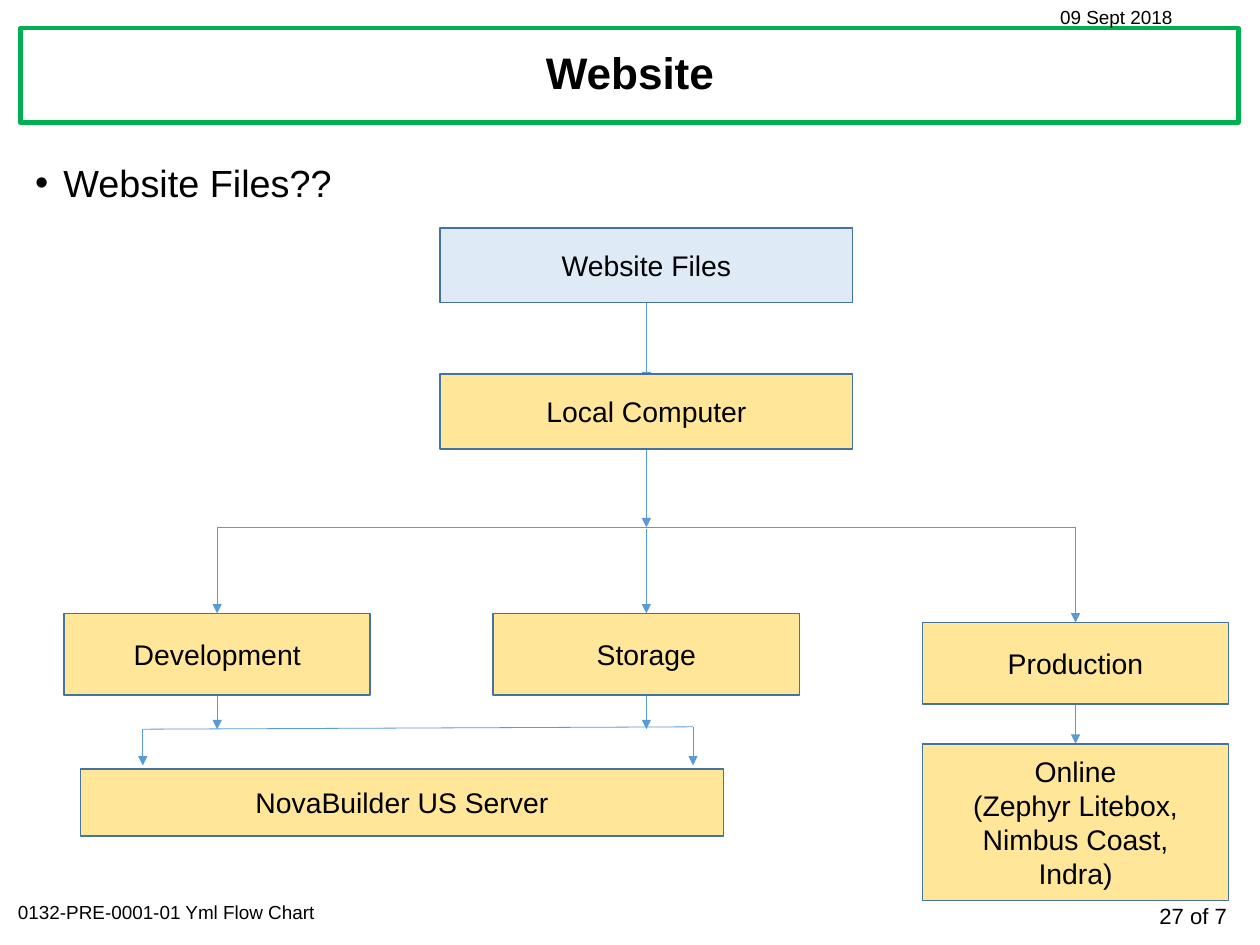
from dataclasses import dataclass

from lxml.etree import SubElement
from pptx import Presentation
from pptx.dml.color import RGBColor
from pptx.enum.shapes import MSO_CONNECTOR as Connector, MSO_SHAPE as Preset
from pptx.enum.text import MSO_ANCHOR as Anchor, MSO_AUTO_SIZE as AutoSize, PP_ALIGN as Align
from pptx.oxml.ns import qn
from pptx.util import Pt

BLACK, WHITE, GREEN = "000000", "FFFFFF", "00B050"
PALE_BLUE, PALE_GOLD, BOX_EDGE, ARROW_BLUE = "DEEBF7", "FFE699", "43739E", "5B9BD5"

# Column centres and heights shared by boxes and arrows
MIDDLE, COLUMN_GAP = 410.4, 272.5
LEFT, RIGHT = MIDDLE - COLUMN_GAP, MIDDLE + COLUMN_GAP
WIDE, NARROW = 262, 194.4
BRANCH_TOP, STAGE_TOP, PRODUCTION_TOP = 334.8, 389.5, 395.3
STAGE_HEIGHT = 51.8
SERVER_LEFT, SERVER_RIGHT = 90.7, 440
MERGE_LEFT, MERGE_RIGHT, SERVER_ARROW_END = 463, 461.5, 486


@dataclass
class Box:
    text: str
    centre: float
    top: float
    width: float
    height: float
    fill: str = PALE_GOLD


@dataclass
class Line:
    x1: float
    y1: float
    x2: float
    y2: float
    arrow: bool = True


@dataclass
class Label:
    text: str
    left: float
    top: float
    width: float
    height: float
    size: float = 12
    align: Align = Align.LEFT


BOXES = [
    Box("Website Files", MIDDLE, 144.7, WIDE, 47.5, PALE_BLUE),
    Box("Local Computer", MIDDLE, 237.6, WIDE, 47.5),
    Box("Development", LEFT, STAGE_TOP, NARROW, STAGE_HEIGHT),
    Box("Storage", MIDDLE, STAGE_TOP, NARROW, STAGE_HEIGHT),
    Box("Production", RIGHT, PRODUCTION_TOP, NARROW, STAGE_HEIGHT),
    Box("NovaBuilder US Server", 255.2, 488.2, 408.2, 42.5),
    Box("Online\n(Zephyr Litebox,\nNimbus Coast,\nIndra)", RIGHT, 472.3, NARROW, 99.4),
]
LINES = [
    Line(MIDDLE, 192.2, MIDDLE, 242),
    Line(MIDDLE, 285.1, MIDDLE, BRANCH_TOP),
    Line(LEFT, BRANCH_TOP, RIGHT, BRANCH_TOP, arrow=False),
    Line(LEFT, BRANCH_TOP, LEFT, STAGE_TOP),
    Line(MIDDLE, BRANCH_TOP + 1.4, MIDDLE, STAGE_TOP),
    Line(RIGHT, BRANCH_TOP, RIGHT, PRODUCTION_TOP),
    Line(LEFT, STAGE_TOP + STAGE_HEIGHT, LEFT, MERGE_LEFT),
    Line(MIDDLE, STAGE_TOP + STAGE_HEIGHT, MIDDLE, MERGE_LEFT),
    Line(SERVER_LEFT, MERGE_LEFT, SERVER_RIGHT, MERGE_RIGHT, arrow=False),
    Line(SERVER_LEFT, MERGE_LEFT, SERVER_LEFT, SERVER_ARROW_END),
    Line(SERVER_RIGHT, MERGE_RIGHT, SERVER_RIGHT, SERVER_ARROW_END),
    Line(RIGHT, PRODUCTION_TOP + STAGE_HEIGHT, RIGHT, 472.3),
]
LABELS = [
    Label("27 of 7", 676.8, 569.5, 109.4, 24.5, 14, Align.RIGHT),
    Label("0132-PRE-0001-01 Yml Flow Chart", 4.3, 568.1, 287.3, 21.6),
    Label("09 Sept 2018", 666, 0, 121, 21.6),
]


def colour(value: str) -> RGBColor:
    return RGBColor.from_string(value)


def apply(target, formats: dict) -> None:
    for name, value in formats.items():
        setattr(target, name, value)


def place(shape, left: float, top: float, width: float, height: float) -> None:
    apply(shape, {"left": Pt(left), "top": Pt(top), "width": Pt(width), "height": Pt(height)})


def write(shape, text: str, size: float, align: Align, anchor: Anchor = Anchor.TOP,
          bold: bool = False, **spacing) -> None:
    frame = shape.text_frame
    frame.text = text
    apply(frame, {"word_wrap": True, "auto_size": AutoSize.NONE, "vertical_anchor": anchor})
    for paragraph in frame.paragraphs:
        apply(paragraph, {"alignment": align, **spacing})
        for run in paragraph.runs:
            apply(run.font, {"name": "Arial", "size": Pt(size), "bold": bold})
            run.font.color.rgb = colour(BLACK)


def add_rectangle(slide, left: float, top: float, width: float, height: float,
                  fill: str, edge: str, weight: float):
    shape = slide.shapes.add_shape(Preset.RECTANGLE, Pt(left), Pt(top), Pt(width), Pt(height))
    shape.shadow.inherit = False
    shape.fill.solid()
    shape.fill.fore_color.rgb = colour(fill)
    shape.line.color.rgb = colour(edge)
    shape.line.width = Pt(weight)
    return shape


def add_box(slide, box: Box) -> None:
    shape = add_rectangle(slide, box.centre - box.width / 2, box.top, box.width, box.height,
                          box.fill, BOX_EDGE, 1)
    write(shape, box.text, 18, Align.CENTER, Anchor.MIDDLE)


def add_line(slide, line: Line) -> None:
    connector = slide.shapes.add_connector(
        Connector.STRAIGHT, Pt(line.x1), Pt(line.y1), Pt(line.x2), Pt(line.y2))
    connector.line.color.rgb = colour(ARROW_BLUE)
    connector.line.width = Pt(0.5)
    if line.arrow:
        SubElement(connector.line._get_or_add_ln(), qn("a:tailEnd"), type="triangle")
    SubElement(connector._element.spPr, qn("a:effectLst"))


def add_label(slide, label: Label) -> None:
    shape = slide.shapes.add_textbox(
        Pt(label.left), Pt(label.top), Pt(label.width), Pt(label.height))
    write(shape, label.text, label.size, label.align)


def main() -> None:
    presentation = Presentation()
    apply(presentation, {"slide_width": Pt(800), "slide_height": Pt(600)})
    slide = presentation.slides.add_slide(presentation.slide_layouts[1])
    title, body = slide.placeholders[0], slide.placeholders[1]

    # Title in its green frame, with the frame sent to the back
    frame = add_rectangle(slide, 13, 18, 773.3, 59.8, WHITE, GREEN, 2.75)
    slide.shapes._spTree.insert(2, frame._element)
    place(title, 15.1, 18, 769.7, 59.8)
    write(title, "Website", 28, Align.CENTER, Anchor.MIDDLE, bold=True,
          line_spacing=0.9, space_before=Pt(10))

    # Bulleted question
    place(body, 15.1, 97.9, 727.9, 448.6)
    write(body, "Website Files??", 24, Align.LEFT, space_before=Pt(10))
    properties = body.text_frame.paragraphs[0]._p.get_or_add_pPr()
    properties.set("marL", str(Pt(18)))
    properties.set("indent", str(Pt(-18)))
    SubElement(properties, qn("a:buFont"), typeface="Arial")
    SubElement(properties, qn("a:buChar"), char="•")

    # Flow chart, arrows behind the boxes
    for line in LINES:
        add_line(slide, line)
    for box in BOXES:
        add_box(slide, box)

    # Date, document number and page number
    for label in LABELS:
        add_label(slide, label)

    presentation.save("out.pptx")


if __name__ == "__main__":
    main()
